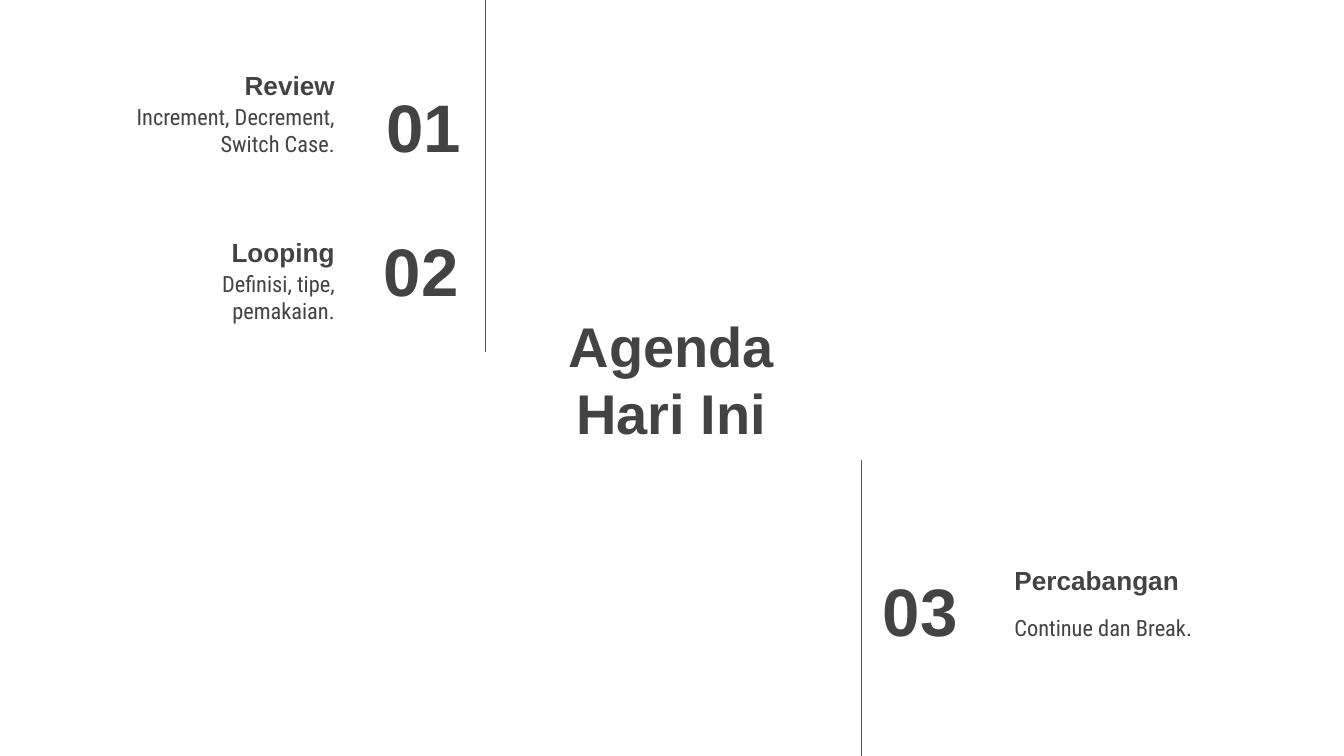
import pptx
import pptx.util
import pptx.dml.color
import pptx.enum.shapes
import pptx.enum.text
import pptx.oxml

Pt = pptx.util.Pt
ALIGN = pptx.enum.text.PP_ALIGN
ANCHOR = pptx.enum.text.MSO_ANCHOR

# Content: each box is (left, top, width, height) in points
TITLE = ("Agenda Hari Ini", (266.4, 165.6, 186.5, 74.2))
AGENDA = [
    {"side": ALIGN.RIGHT,
     "number": ("01", (167, 44.6, 87.1, 45.4)),
     "heading": ("Review", (-13.7, 15.8, 200.2, 45.4)),
     "body": ("Increment, Decrement, Switch Case.", (54.7, 48.2, 131.8, 45.4))},
    {"side": ALIGN.RIGHT,
     "number": ("02", (165.6, 121.7, 87.1, 45.4)),
     "heading": ("Looping", (31, 105.1, 155.5, 45.4)),
     "body": ("Definisi, tipe, pemakaian.", (54.7, 137.5, 131.8, 45.4))},
    {"side": ALIGN.LEFT,
     "number": ("03", (465.8, 303.8, 84.2, 45.4)),
     "heading": ("Percabangan", (536.4, 280.8, 131.8, 45.4)),
     "body": ("Continue dan Break.", (536.4, 321.8, 141.8, 58.3))},
]
DIVIDERS = [(260, 0, 188.6), (461.5, 246.2, 405)]  # x, top, bottom

THEME = {
    "text": pptx.dml.color.RGBColor.from_string("434343"),
    "line": pptx.dml.color.RGBColor.from_string("595959"),
    "line_width": 0.75,
    "inset": 7.2,
    # role: font, size, bold, vertical anchor
    "title": ("Arial", 30, True, ANCHOR.MIDDLE),
    "number": ("Arial", 36, True, ANCHOR.MIDDLE),
    "heading": ("Arial", 14, True, ANCHOR.BOTTOM),
    "body": ("Roboto Condensed", 12, False, ANCHOR.TOP),
}


def fill_text(shape, text, box, role, alignment):
    """Place a text shape and format its single paragraph by role."""
    shape.left, shape.top, shape.width, shape.height = map(Pt, box)
    name, size, bold, anchor = THEME[role]
    frame = shape.text_frame
    frame.word_wrap = True
    frame.auto_size = pptx.enum.text.MSO_AUTO_SIZE.NONE
    frame.vertical_anchor = anchor
    frame.margin_left = frame.margin_right = Pt(THEME["inset"])
    frame.margin_top = frame.margin_bottom = Pt(THEME["inset"])
    frame.text = text
    paragraph = frame.paragraphs[0]
    paragraph.alignment = alignment
    paragraph.line_spacing = 1.0
    font = paragraph.font
    font.name, font.size, font.bold = name, Pt(size), bold
    font.color.rgb = THEME["text"]


def add_divider(slide, x, top, bottom):
    line = slide.shapes.add_connector(
        pptx.enum.shapes.MSO_CONNECTOR.STRAIGHT, Pt(x), Pt(top), Pt(x), Pt(bottom))
    line.line.color.rgb = THEME["line"]
    line.line.width = Pt(THEME["line_width"])
    properties = line._element.spPr
    properties.append(pptx.oxml.parse_xml(
        '<a:effectLst xmlns:a="http://schemas.openxmlformats.org/drawingml/2006/main"/>'))


def main():
    presentation = pptx.Presentation()
    presentation.slide_width, presentation.slide_height = Pt(720), Pt(405)
    slide = presentation.slides.add_slide(presentation.slide_layouts[5])

    # Title
    fill_text(slide.shapes.title, *TITLE, "title", ALIGN.CENTER)

    # Agenda items
    for item in AGENDA:
        for role in ("heading", "body", "number"):
            text, box = item[role]
            shape = slide.shapes.add_textbox(*map(Pt, box))
            fill_text(shape, text, box, role, item["side"])

    # Vertical dividers
    for divider in DIVIDERS:
        add_divider(slide, *divider)

    presentation.save("out.pptx")


if __name__ == "__main__":
    main()
